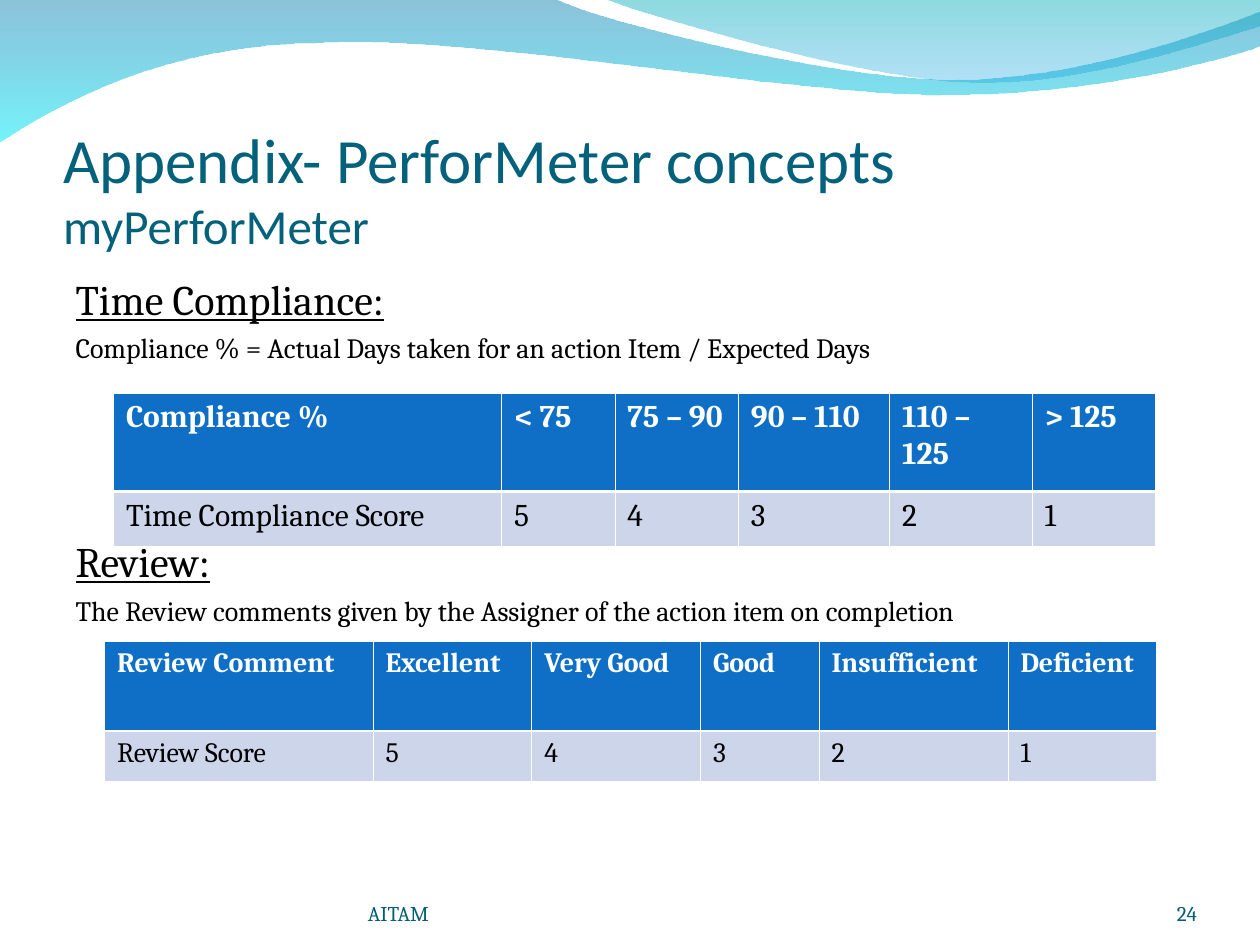
from lxml import etree
from pptx import Presentation
from pptx.dml.color import RGBColor
from pptx.enum.text import MSO_ANCHOR, MSO_AUTO_SIZE, PP_ALIGN
from pptx.oxml import parse_xml
from pptx.oxml.ns import nsdecls, qn
from pptx.util import Inches, Pt

LEFT, RIGHT = PP_ALIGN.LEFT, PP_ALIGN.RIGHT
BOTTOM = MSO_ANCHOR.BOTTOM
NO_FIT = MSO_AUTO_SIZE.NONE

THEME = {
    "title_font": "Calibri", "body_font": "Cambria",
    "title": "04617B", "footer": "045C75", "text": "000000", "white": "FFFFFF",
    "header_fill": "0F6FC6", "row_fill": "CCD5EA",
    "title_size": 36, "subtitle_size": 28, "heading_size": 24,
    "note_size": 16, "footer_size": 12,
    "thin": 0.45, "thick": 1.47,
}

TITLE = [("Appendix- PerforMeter concepts", THEME["title_size"]),
         ("myPerforMeter", THEME["subtitle_size"])]

BODY = [
    ("Time Compliance:", THEME["heading_size"], True, 0),
    ("Compliance % = Actual Days taken for an action Item / Expected Days",
     THEME["note_size"], False, 4),
    ("Review:", THEME["heading_size"], True, 98),
    ("The Review comments given by the Assigner of the action item on completion",
     THEME["note_size"], False, 4),
]

TABLES = [
    {"at": (0.9, 3.12), "size": 18,
     "cols": [3.08, 0.9, 0.98, 1.2, 1.13, 0.98], "heights": [0.78, 0.44],
     "rows": [["Compliance %", "< 75", "75 – 90", "90 – 110", "110 – 125", "> 125"],
              ["Time Compliance Score", "5", "4", "3", "2", "1"]]},
    {"at": (0.83, 5.09), "size": 16,
     "cols": [2.13, 1.26, 1.34, 0.94, 1.5, 1.18], "heights": [0.71, 0.4],
     "rows": [["Review Comment", "Excellent", "Very Good", "Good", "Insufficient", "Deficient"],
              ["Review Score", "5", "4", "3", "2", "1"]]},
]

FOOTERS = [("AITAM", (2.92, 6.95, 3.67, 0.4), LEFT),
           ("24", (8.67, 6.95, 0.83, 0.4), RIGHT)]

WAVES = [
    {"start": (0, -0.01),
     "segments": [[(4.4, -0.01)],
                  [(4.76, 0.17), (6.64, 0.63), (7.58, 0.63)],
                  [(8.53, 0.63), (9.58, 0.26), (10, 0.09)],
                  [(10.01, 0.36)],
                  [(9.83, 0.44), (8.7, 0.76), (7.46, 0.75)],
                  [(6.22, 0.75), (3.82, 0.28), (2.57, 0.34)],
                  [(1.29, 0.35), (0.46, 0.83), (-0.01, 1.13)],
                  [(0, -0.01)]],
     "stops": [(0, "0079AF", 45), (100, "00EBF8", 55)]},
    {"start": (4.79, -0.01),
     "segments": [[(5.09, 0.11), (6.82, 0.62), (7.69, 0.65)],
                  [(8.56, 0.69), (9.61, 0.32), (10, 0.21)],
                  [(10, 0)],
                  [(4.79, -0.01)]],
     "stops": [(0, "00ADB6", 45), (100, "009BE5", 30)]},
]


def format_font(font, size, color, name=THEME["body_font"], bold=False, underline=False):
    values = {"size": Pt(size), "name": name, "bold": bold, "underline": underline}
    for key, value in values.items():
        setattr(font, key, value)
    font.color.rgb = RGBColor.from_string(color)


def place(shape, *box):
    for key, value in zip(("left", "top", "width", "height"), box):
        setattr(shape, key, Inches(value))


def set_frame(tf, **values):
    for key, value in values.items():
        setattr(tf, key, value)


def bend_segments(sp, segments):
    lines = iter(list(sp._element.iter(qn("a:lnTo"))))
    for segment in segments:
        group = [next(lines) for _ in segment]
        if len(group) == 3:
            curve = etree.Element(qn("a:cubicBezTo"))
            group[0].addprevious(curve)
            for line in group:
                curve.append(line[0])
                line.getparent().remove(line)


def add_wave(s, wave, layer):
    points = [(Inches(x), Inches(y)) for segment in wave["segments"] for x, y in segment]
    builder = s.shapes.build_freeform(*map(Inches, wave["start"]))
    builder.add_line_segments(points, close=True)
    sp = builder.convert_to_shape()
    bend_segments(sp, wave["segments"])
    sp.shadow.inherit = False
    sp.line.fill.background()
    stops = "".join(
        f'<a:gs pos="{pos * 1000}"><a:srgbClr val="{color}">'
        f'<a:alpha val="{alpha * 1000}"/></a:srgbClr></a:gs>'
        for pos, color, alpha in wave["stops"])
    fill = parse_xml(f'<a:gradFill {nsdecls("a")}><a:gsLst>{stops}</a:gsLst>'
                     '<a:lin ang="5400000" scaled="0"/></a:gradFill>')
    sp._element.spPr.find(qn("a:custGeom")).addnext(fill)
    s.shapes._spTree.insert(2 + layer, sp._element)


def set_borders(cell, top, bottom):
    tc_pr = cell._tc.get_or_add_tcPr()
    sides = [("L", THEME["thin"]), ("R", THEME["thin"]), ("T", top), ("B", bottom)]
    for i, (side, width) in enumerate(sides):
        tc_pr.insert(i, parse_xml(
            f'<a:ln{side} {nsdecls("a")} w="{Pt(width)}"><a:solidFill>'
            f'<a:srgbClr val="{THEME["white"]}"/></a:solidFill></a:ln{side}>'))


def add_score_table(s, data):
    rows, cols, heights = data["rows"], data["cols"], data["heights"]
    x, y = data["at"]
    table = s.shapes.add_table(len(rows), len(cols), Inches(x), Inches(y),
                               Inches(sum(cols)), Inches(sum(heights))).table
    for column, width in zip(table.columns, cols):
        column.width = Inches(width)
    for r, (texts, height) in enumerate(zip(rows, heights)):
        header = r == 0
        table.rows[r].height = Inches(height)
        for c, text in enumerate(texts):
            cell = table.cell(r, c)
            cell.text = text
            cell.fill.solid()
            cell.fill.fore_color.rgb = RGBColor.from_string(
                THEME["header_fill" if header else "row_fill"])
            set_borders(cell, THEME["thin" if header else "thick"],
                        THEME["thick" if header else "thin"])
            format_font(cell.text_frame.paragraphs[0].runs[0].font, data["size"],
                        THEME["white" if header else "text"], bold=header)


def main():
    prs = Presentation()
    prs.slide_width, prs.slide_height = Inches(10), Inches(7.5)
    s = prs.slides.add_slide(prs.slide_layouts[1])
    for layer, wave in enumerate(WAVES):
        add_wave(s, wave, layer)

    title, body = s.shapes.title, s.placeholders[1]
    place(title, 0.5, 0.77, 9, 1.25)
    tf = title.text_frame
    set_frame(tf, margin_left=0, margin_right=0, margin_bottom=0, margin_top=Inches(0.05),
              vertical_anchor=BOTTOM, auto_size=NO_FIT, word_wrap=True)
    p = tf.paragraphs[0]
    p.alignment = LEFT
    for i, (text, size) in enumerate(TITLE):
        if i:
            p.add_line_break()
        r = p.add_run()
        r.text = text
        format_font(r.font, size, THEME["title"], THEME["title_font"])

    place(body, 0.5, 2.12, 9, 4.8)
    tf = body.text_frame
    set_frame(tf, auto_size=NO_FIT, word_wrap=True)
    for i, (text, size, underline, before) in enumerate(BODY):
        p = tf.add_paragraph() if i else tf.paragraphs[0]
        p.space_before = Pt(before)
        p_pr = p._p.get_or_add_pPr()
        p_pr.set("marL", "0")
        p_pr.set("indent", "0")
        etree.SubElement(p_pr, qn("a:buNone"))
        r = p.add_run()
        r.text = text
        format_font(r.font, size, THEME["text"], underline=underline)

    for data in TABLES:
        add_score_table(s, data)

    for text, box, align in FOOTERS:
        tf = s.shapes.add_textbox(*map(Inches, box)).text_frame
        set_frame(tf, margin_left=0, margin_right=0, margin_top=0, margin_bottom=0,
                  vertical_anchor=BOTTOM, word_wrap=True)
        p = tf.paragraphs[0]
        p.alignment = align
        r = p.add_run()
        r.text = text
        format_font(r.font, THEME["footer_size"], THEME["footer"])

    prs.save("out.pptx")


if __name__ == "__main__":
    main()
